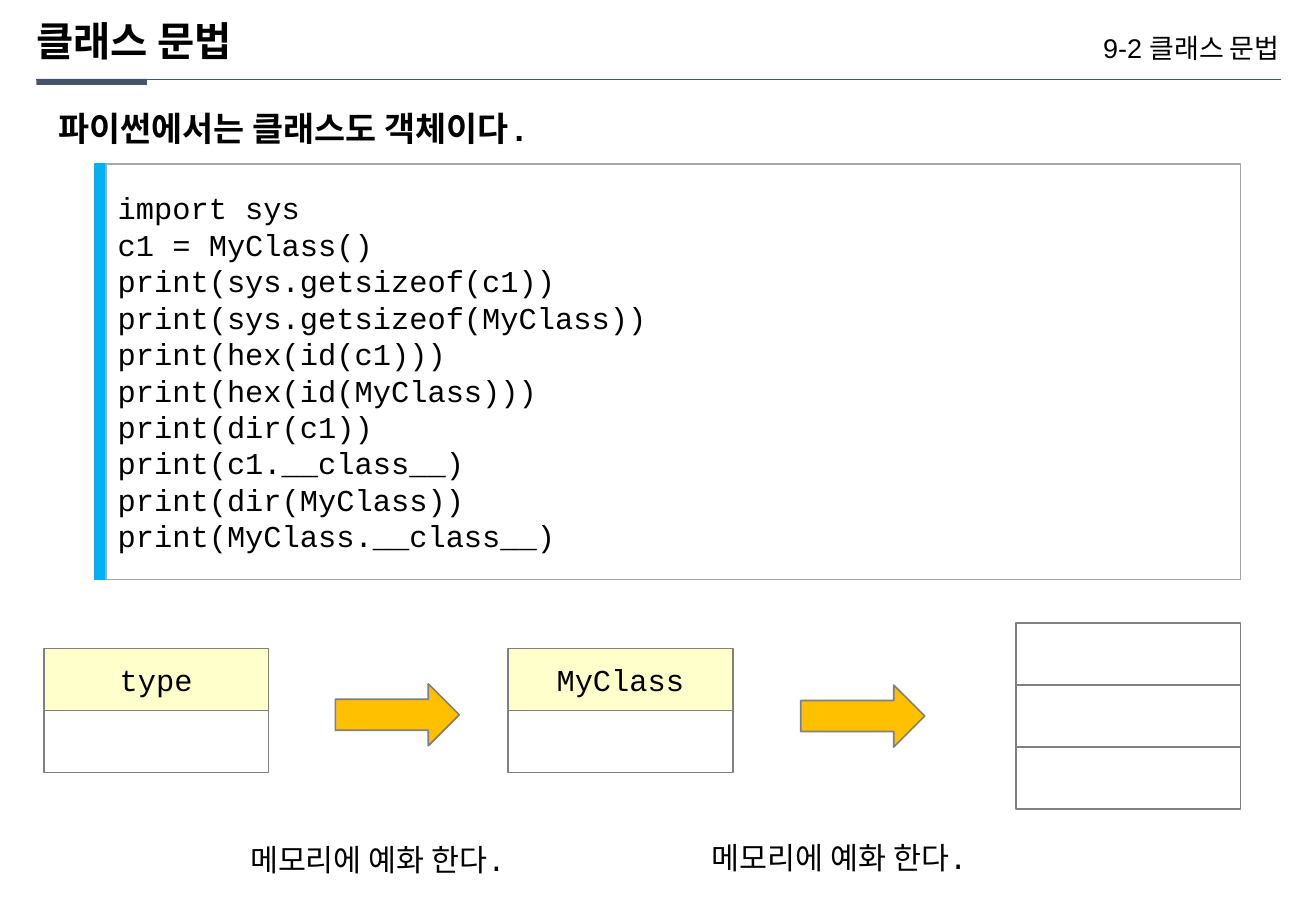
from pptx import Presentation
from pptx.dml.color import RGBColor
from pptx.enum.shapes import MSO_CONNECTOR, MSO_SHAPE
from pptx.enum.text import MSO_ANCHOR, MSO_AUTO_SIZE, PP_ALIGN
from pptx.oxml.ns import qn
from pptx.util import Inches, Pt
from lxml.etree import SubElement

TITLE = "클래스 문법"
SECTION = "9-2 클래스 문법"
HEADING = "파이썬에서는 클래스도 객체이다."
CODE = [
    "import sys",
    "c1 = MyClass()",
    "print(sys.getsizeof(c1))",
    "print(sys.getsizeof(MyClass))",
    "print(hex(id(c1)))",
    "print(hex(id(MyClass)))",
    "print(dir(c1))",
    "print(c1.__class__)",
    "print(dir(MyClass))",
    "print(MyClass.__class__)",
]
STACKS = [
    (0.36, 5.34, ["type", ""]),
    (4.18, 5.34, ["MyClass", ""]),
    (8.36, 5.13, ["", "", ""]),
]
ARROWS = [(2.76, 5.63), (6.59, 5.64)]
CAPTIONS = [(1.96, 6.88, "메모리에 예화 한다."), (5.76, 6.86, "메모리에 예화 한다.")]
CELL_W, CELL_H, ARROW_W = 1.85, 0.51, 1.02
MONO = "Courier New"


def color(value):
    return RGBColor.from_string(value)


def write(sp, text, size, font=MONO, bold=False, align=PP_ALIGN.LEFT,
          anchor=MSO_ANCHOR.TOP, inset=None, spacing=None):
    tf = sp.text_frame
    tf.text = text
    tf.word_wrap = True
    tf.auto_size = MSO_AUTO_SIZE.NONE
    tf.vertical_anchor = anchor
    if inset is not None:
        tf.margin_left = tf.margin_right = Inches(inset)
        tf.margin_top = tf.margin_bottom = Inches(inset)
    for p in tf.paragraphs:
        p.alignment = align
        p.line_spacing = spacing
        for r in p.runs:
            r.font.size = Pt(size)
            r.font.name = font
            r.font.bold = bold
            r.font.color.rgb = color("000000")


def add_box(s, kind, x, y, w, h, fill, line=None):
    sp = s.shapes.add_shape(kind, Inches(x), Inches(y), Inches(w), Inches(h))
    sp.shadow.inherit = False
    sp.fill.solid()
    sp.fill.fore_color.rgb = color(fill)
    if line:
        sp.line.color.rgb = color(line)
        sp.line.width = Pt(1)
    else:
        sp.line.fill.background()
    return sp


def add_text(s, x, y, w, h, text, size, **style):
    sp = s.shapes.add_textbox(Inches(x), Inches(y), Inches(w), Inches(h))
    write(sp, text, size, **style)


def add_header(s):
    rule = s.shapes.add_connector(MSO_CONNECTOR.STRAIGHT, Inches(0.3), Inches(0.65),
                                  Inches(10.54), Inches(0.65))
    rule.line.color.rgb = color("44546A")
    rule.line.width = Pt(0.25)
    SubElement(rule._element.spPr, qn("a:effectLst"))
    add_box(s, MSO_SHAPE.RECTANGLE, 0.3, 0.65, 0.91, 0.05, "44546A")
    title = s.shapes.title
    title.left, title.top = Inches(0.3), Inches(0.18)
    title.width, title.height = Inches(6.13), Inches(0.36)
    write(title, TITLE, 24, bold=True, inset=0, spacing=0.9)
    add_text(s, 6.92, 0.29, 3.61, 0.24, SECTION, 16, font="Arial",
             align=PP_ALIGN.RIGHT, inset=0, spacing=0.9)
    add_text(s, 0.38, 0.84, 6.22, 0.44, HEADING, 20, bold=True)


def add_code(s):
    add_box(s, MSO_SHAPE.RECTANGLE, 0.78, 1.35, 0.09, 3.42, "00B0F0", "00B0F0")
    panel = add_box(s, MSO_SHAPE.RECTANGLE, 0.87, 1.35, 9.34, 3.42, "FFFFFF", "A6A6A6")
    write(panel, "\n".join(CODE), 18, anchor=MSO_ANCHOR.MIDDLE)


def add_diagram(s):
    for x, y, labels in STACKS:
        for i, label in enumerate(labels):
            cell = add_box(s, MSO_SHAPE.RECTANGLE, x, y + i * CELL_H, CELL_W, CELL_H,
                           "FFFFCC" if label else "FFFFFF", "808080")
            if label:
                write(cell, label, 18, align=PP_ALIGN.CENTER, anchor=MSO_ANCHOR.MIDDLE)
    for x, y in ARROWS:
        add_box(s, MSO_SHAPE.RIGHT_ARROW, x, y, ARROW_W, CELL_H, "FFC000", "808080")
    for x, y, text in CAPTIONS:
        add_text(s, x, y, 2.64, 0.4, text, 18)


def main():
    prs = Presentation()
    prs.slide_width, prs.slide_height = Inches(10.83), Inches(7.5)
    s = prs.slides.add_slide(prs.slide_layouts[5])
    add_header(s)
    add_code(s)
    add_diagram(s)
    prs.save("out.pptx")


if __name__ == "__main__":
    main()
